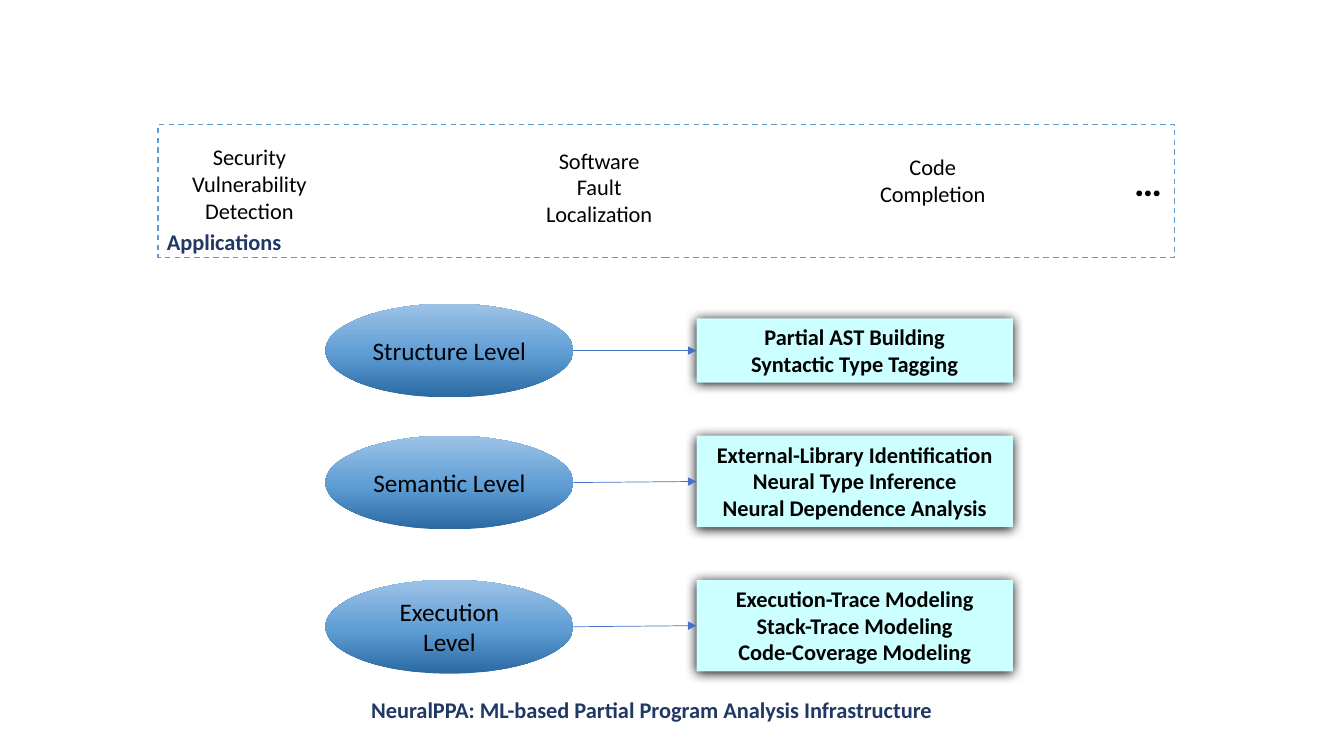
"""Build the NeuralPPA infrastructure slide."""
import copy
from dataclasses import dataclass

import lxml.etree
import pptx
import pptx.dml.color
import pptx.enum.dml
import pptx.enum.shapes
import pptx.enum.text
import pptx.oxml.ns
import pptx.util

Pt = pptx.util.Pt
Kind = pptx.enum.shapes.MSO_SHAPE
Fit = pptx.enum.text.MSO_AUTO_SIZE
Anchor = pptx.enum.text.MSO_ANCHOR
qn = pptx.oxml.ns.qn

COLORS = {
    "black": "000000",
    "navy": "203864",
    "aqua": "CCFFFF",
    "arrow": "4472C4",
    "frame": "5B9BD5",
}
BLEND = ((0, "2A69A2"), (0.48, "609ED6"), (1, "9DC3E6"))
OVAL_X, OVAL_W, OVAL_H = 232.5, 177.1, 67
BOX_X, BOX_W = 497.5, 226


@dataclass
class Level:
    name: str
    tasks: str
    top: float
    box_top: float
    box_h: float


@dataclass
class Label:
    text: str
    left: float
    top: float
    width: float
    height: float
    size: float = 16
    color: str = "black"
    bold: bool = False


LEVELS = (
    Level("Structure Level", "Partial AST Building\nSyntactic Type Tagging", 216.9, 227.4, 46),
    Level(
        "Semantic Level",
        "External-Library Identification\nNeural Type Inference\nNeural Dependence Analysis",
        311.2, 311.2, 65.4,
    ),
    Level(
        "Execution Level",
        "Execution-Trace Modeling\nStack-Trace Modeling\nCode-Coverage Modeling",
        414.2, 414.2, 65.4,
    ),
)
LABELS = (
    Label("Security Vulnerability Detection", 128.9, 98.9, 98.6, 65.5),
    Label("Software Fault Localization", 378.7, 101.2, 98.6, 65.5),
    Label("Code\nCompletion", 617, 106, 98.6, 46),
    Label("…", 800.6, 108.5, 38.9, 41, size=28, bold=True),
    Label("Applications", 110.8, 159.4, 98.6, 26.6, color="navy", bold=True),
    Label(
        "NeuralPPA: ML-based Partial Program Analysis Infrastructure ",
        252, 494, 430.6, 26.6, color="navy", bold=True,
    ),
)


def tint(code: str) -> pptx.dml.color.RGBColor:
    return pptx.dml.color.RGBColor.from_string(code)


def write(shape, text: str, *, size: float = 16, color: str = "black", bold: bool = False,
          anchor=Anchor.TOP, fit=Fit.SHAPE_TO_FIT_TEXT) -> None:
    frame = shape.text_frame
    frame.text = text
    frame.word_wrap = True
    frame.auto_size = fit
    frame.vertical_anchor = anchor
    for para in frame.paragraphs:
        para.alignment = pptx.enum.text.PP_ALIGN.CENTER
        for run in para.runs:
            font = run.font
            font.name, font.size, font.bold = "Calibri", Pt(size), bold
            font.color.rgb = tint(COLORS[color])


def place(slide, kind, left: float, top: float, width: float, height: float):
    shape = slide.shapes.add_shape(kind, Pt(left), Pt(top), Pt(width), Pt(height))
    shape.shadow.inherit = False
    shape.line.fill.background()
    return shape


def blend(shape) -> None:
    fill = shape.fill
    fill.gradient()
    fill.gradient_angle = 90
    stops = shape.element.spPr.find(".//" + qn("a:gsLst"))
    stops.append(copy.deepcopy(stops[0]))
    for stop, (spot, code) in zip(fill.gradient_stops, BLEND):
        stop.position = spot
        stop.color.rgb = tint(code)


def shade(shape) -> None:
    glow = lxml.etree.SubElement(
        shape.element.spPr.find(qn("a:effectLst")), qn("a:outerShdw"),
        blurRad=str(Pt(8.5)), dist=str(Pt(1)), dir="5400000", algn="t", rotWithShape="0",
    )
    lxml.etree.SubElement(glow, qn("a:srgbClr"), val=COLORS["black"])


def link(slide, oval, box) -> None:
    mid = oval.top + oval.height // 2
    line = slide.shapes.add_connector(
        pptx.enum.shapes.MSO_CONNECTOR.STRAIGHT, oval.left + oval.width, mid, box.left, mid
    )
    line.end_connect(box, 1)
    ends = line.element.find(".//" + qn("p:cNvCxnSpPr"))
    start = lxml.etree.SubElement(ends, qn("a:stCxn"), id=str(oval.shape_id), idx="6")
    ends.insert(0, start)
    line.line.color.rgb = tint(COLORS["arrow"])
    line.line.width = Pt(0.5)
    lxml.etree.SubElement(line.line._get_or_add_ln(), qn("a:tailEnd"), type="triangle")
    lxml.etree.SubElement(line.element.spPr, qn("a:effectLst"))


def draw_level(slide, level: Level) -> None:
    oval = place(slide, Kind.OVAL, OVAL_X, level.top, OVAL_W, OVAL_H)
    blend(oval)
    write(oval, level.name, size=18, anchor=Anchor.MIDDLE, fit=Fit.NONE)
    box = place(slide, Kind.RECTANGLE, BOX_X, level.box_top, BOX_W, level.box_h)
    box.fill.solid()
    box.fill.fore_color.rgb = tint(COLORS["aqua"])
    shade(box)
    write(box, level.tasks, bold=True)
    link(slide, oval, box)


def draw_frame(slide) -> None:
    frame = place(slide, Kind.RECTANGLE, 113, 88.9, 725.8, 95)
    frame.fill.background()
    frame.line.color.rgb = tint(COLORS["frame"])
    frame.line.width = Pt(1)
    frame.line.dash_style = pptx.enum.dml.MSO_LINE.DASH


def draw_label(slide, label: Label) -> None:
    box = slide.shapes.add_textbox(
        Pt(label.left), Pt(label.top), Pt(label.width), Pt(label.height)
    )
    write(box, label.text, size=label.size, color=label.color, bold=label.bold)


def main() -> None:
    deck = pptx.Presentation()
    deck.slide_width, deck.slide_height = Pt(960), Pt(540)
    slide = deck.slides.add_slide(deck.slide_layouts.get_by_name("Blank"))
    for level in LEVELS:
        draw_level(slide, level)
    draw_frame(slide)
    for label in LABELS:
        draw_label(slide, label)
    deck.save("out.pptx")


if __name__ == "__main__":
    main()
